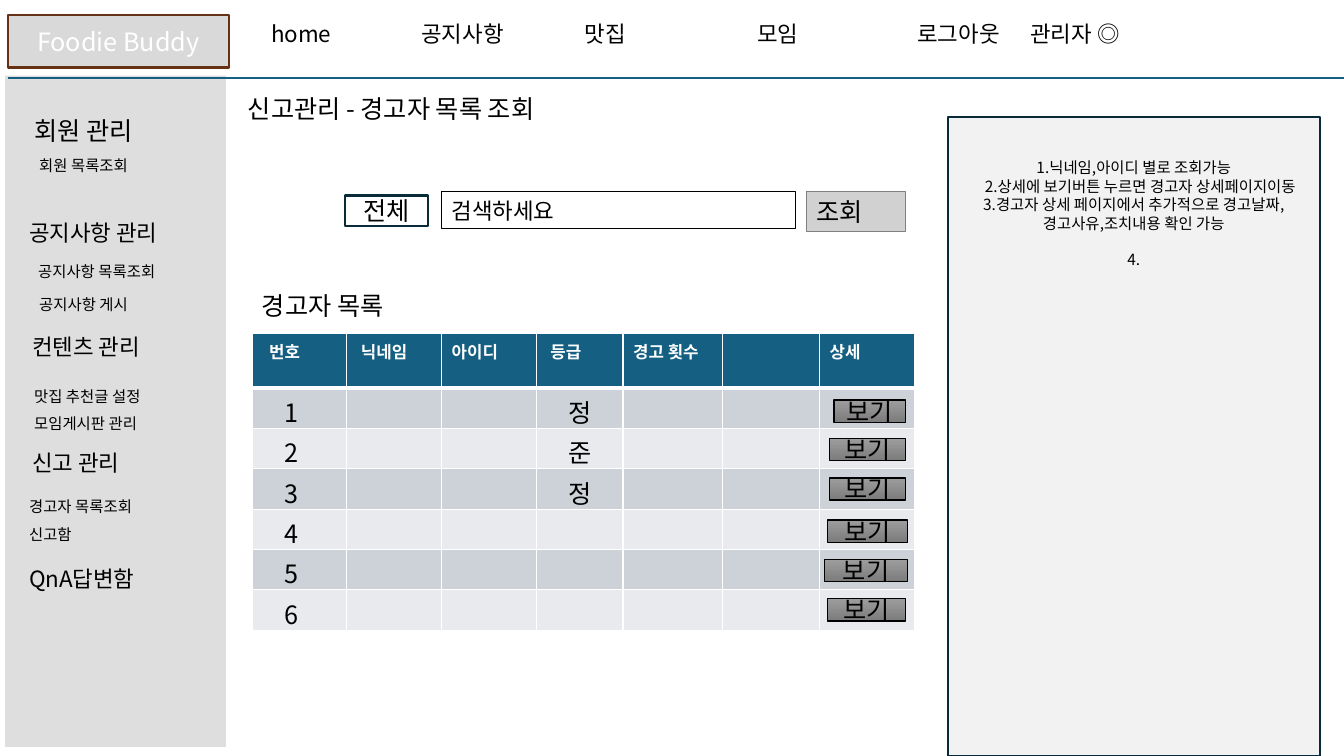
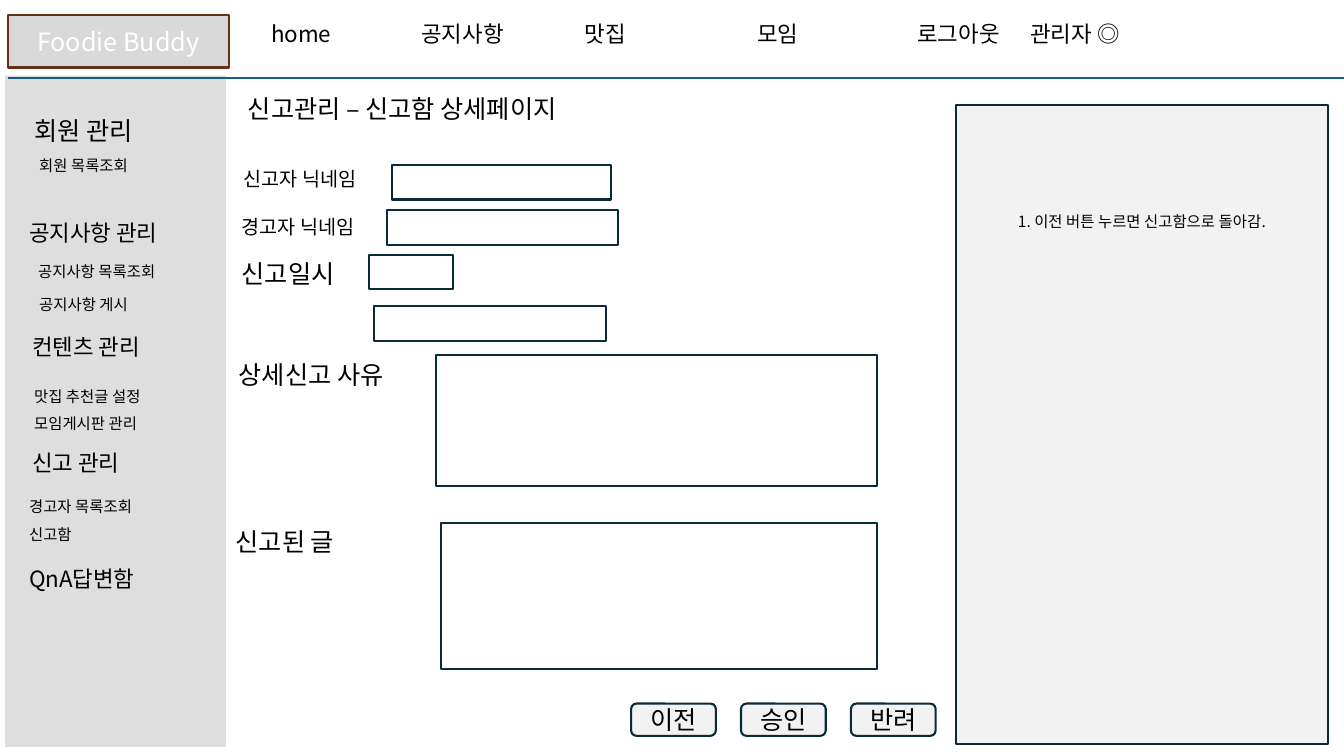
"""Build two admin wireframe slides: a warned-member list and a report detail page."""
import pptx
import pptx.dml.color
import pptx.enum.shapes
import pptx.enum.text
import pptx.oxml
import pptx.oxml.ns
import pptx.util
from lxml import etree

Inches = pptx.util.Inches
Pt = pptx.util.Pt
RGBColor = pptx.dml.color.RGBColor
SHAPE = pptx.enum.shapes.MSO_SHAPE
ALIGN = pptx.enum.text.PP_ALIGN
ANCHOR = pptx.enum.text.MSO_ANCHOR
qn = pptx.oxml.ns.qn

FONT = "Noto Sans CJK KR"
BLACK = RGBColor(0x00, 0x00, 0x00)
WHITE = RGBColor(0xFF, 0xFF, 0xFF)
BLUE = RGBColor(0x15, 0x60, 0x82)
NAVY = RGBColor(0x09, 0x2A, 0x39)
BROWN = RGBColor(0x66, 0x32, 0x16)
LOGO_GRAY = RGBColor(0xD9, 0xD9, 0xD9)
SIDEBAR_GRAY = RGBColor(0xBF, 0xBF, 0xBF)
PANEL_GRAY = RGBColor(0xF2, 0xF2, 0xF2)
SEARCH_GRAY = RGBColor(0xD1, 0xD1, 0xD1)
EDGE_GRAY = RGBColor(0x80, 0x80, 0x80)
BUTTON_LIGHT = RGBColor(0x9D, 0x9D, 0x9D)
BUTTON_DARK = RGBColor(0x7C, 0x7C, 0x7C)
BANDS = (RGBColor(0xCC, 0xD2, 0xD8), RGBColor(0xE8, 0xEA, 0xED))

LOGO = "Foodie Buddy"
NAVIGATION = ["home", "공지사항", "맛집", "모임", "로그아웃", "관리자 ◎"]
NAVIGATION_STOPS = [1.49, 3.11, 4.82, 6.41, 7.53]
SIDEBAR = [
    (0.24, 1.09, 18, "회원 관리"),
    (0.29, 1.50, 11, "회원 목록조회"),
    (0.19, 2.12, 16, "공지사항 관리"),
    (0.28, 2.55, 11, "공지사항 목록조회"),
    (0.29, 2.88, 11, "공지사항 게시"),
    (0.22, 3.26, 16, "컨텐츠 관리"),
    (0.24, 3.79, 11, "맛집 추천글 설정"),
    (0.24, 4.06, 11, "모임게시판 관리"),
    (0.22, 4.41, 16, "신고 관리"),
    (0.19, 4.88, 11, "경고자 목록조회"),
    (0.19, 5.16, 11, "신고함"),
    (0.19, 5.56, 16, "QnA답변함"),
]

LIST_TITLE = "신고관리 - 경고자 목록 조회"
LIST_NOTES = [
    "1.닉네임,아이디 별로 조회가능",
    "2.상세에 보기버튼 누르면 경고자 상세페이지이동",
    "3.경고자 상세 페이지에서 추가적으로 경고날짜,경고사유,조치내용 확인 가능",
    "4.",
]
HEADERS = ["번호", "닉네임", "아이디", "등급", "경고 횟수", "", "상세"]
HEADER_INSETS = [0.17, 0.14, 0.1, 0.14, 0.1, 0.1, 0.1]
COLUMN_WIDTHS = [0.94, 0.94, 0.94, 0.86, 0.99, 0.96, 0.94]
GRADES = ["정", "준", "정", "", "", ""]
VIEW_BUTTONS = [
    (8.27, 3.97, 0.71), (8.23, 4.35, 0.75), (8.23, 4.74, 0.75),
    (8.21, 5.16, 0.79), (8.18, 5.55, 0.82), (8.21, 5.94, 0.77),
]

DETAIL_TITLE = "신고관리 – 신고함 상세페이지"
DETAIL_NOTES = ["1. 이전 버튼 누르면 신고함으로 돌아감."]
FIELD_LABELS = [
    (2.32, 1.61, 14, "신고자 닉네임"),
    (2.30, 2.08, 14, "경고자 닉네임"),
    (2.30, 2.51, 18, "신고일시"),
    (2.27, 3.52, 18, "상세신고 사유"),
    (2.24, 5.17, 18, "신고된 글"),
]
FIELDS = [
    (3.89, 1.64, 2.17, 0.34), (3.84, 2.08, 2.29, 0.35), (3.66, 2.53, 0.83, 0.34),
    (3.71, 3.04, 2.30, 0.34), (4.32, 3.52, 4.38, 1.30), (4.37, 5.19, 4.33, 1.45),
]
ACTIONS = ["이전", "승인", "반려"]


def write(frame, text, size=18, color=BLACK, bold=False, align=ALIGN.LEFT):
    """Fill a text frame, one paragraph per line of text."""
    frame.word_wrap = True
    for index, line in enumerate(text.split("\n")):
        paragraph = frame.paragraphs[0] if index == 0 else frame.add_paragraph()
        paragraph.alignment = align
        run = paragraph.add_run()
        run.text = line
        run.font.name = FONT
        run.font.size = Pt(size)
        run.font.bold = bold
        run.font.color.rgb = color
        east_asian = etree.SubElement(run._r.get_or_add_rPr(), qn("a:ea"))
        east_asian.set("typeface", FONT)


def add_label(slide, left, top, width, text, size=18):
    """Add a plain text box and return its frame."""
    box = slide.shapes.add_textbox(
        Inches(left), Inches(top), Inches(width), Inches(round(0.1 + size / 60, 2)))
    write(box.text_frame, text, size=size)
    return box.text_frame


def add_box(slide, place, fill=WHITE, line=NAVY, weight=1.5, text="", kind=SHAPE.RECTANGLE,
            anchor=ANCHOR.MIDDLE, **text_format):
    """Add a filled, outlined shape, with text if there is any."""
    box = slide.shapes.add_shape(kind, *map(Inches, place))
    box.shadow.inherit = False
    box.fill.solid()
    box.fill.fore_color.rgb = fill
    if line is None:
        box.line.fill.background()
    else:
        box.line.color.rgb = line
        box.line.width = Pt(weight)
    box.text_frame.vertical_anchor = anchor
    if text:
        write(box.text_frame, text, **{"align": ALIGN.CENTER, **text_format})
    return box


def add_frame(presentation, title):
    """Add a slide with the shared navigation, sidebar and title."""
    slide = presentation.slides.add_slide(presentation.slide_layouts[6])
    navigation = add_label(slide, 2.19, 0.15, 10.97, "\t".join(NAVIGATION), size=16)
    navigation.margin_left = Inches(0.5)
    stops = etree.SubElement(navigation.paragraphs[0]._p.get_or_add_pPr(), qn("a:tabLst"))
    for position in NAVIGATION_STOPS:
        etree.SubElement(stops, qn("a:tab"), pos=str(Inches(position)), algn="l")

    add_box(slide, (0.08, 0.15, 2.19, 0.52), LOGO_GRAY, BROWN, text=LOGO, color=WHITE)
    sidebar = add_box(slide, (0.05, 0.75, 2.19, 6.66), SIDEBAR_GRAY, None)
    sidebar_color = sidebar._element.spPr.find(qn("a:solidFill"))[0]
    etree.SubElement(sidebar_color, qn("a:alpha"), val="50000")
    rule = slide.shapes.add_connector(
        pptx.enum.shapes.MSO_CONNECTOR.STRAIGHT,
        Inches(0.08), Inches(0.77), Inches(13.33), Inches(0.77))
    rule.line.color.rgb = BLUE
    rule.line.width = Pt(1.5)
    etree.SubElement(rule._element.spPr, qn("a:effectLst"))

    for left, top, size, text in SIDEBAR:
        add_label(slide, left, top, 1.95, text, size)
    add_label(slide, 2.36, 0.88, 3.4, title)
    return slide


def add_notes_panel(slide, left, top, notes, inset):
    """Add the gray panel of remarks and return its paragraphs."""
    panel = add_box(slide, (left, top, 3.69, 6.34), PANEL_GRAY, text="\n".join(notes),
                    anchor=ANCHOR.TOP, size=11)
    panel.text_frame.margin_top = Inches(inset)
    return panel.text_frame.paragraphs


def set_borders(cell, top=1, bottom=1):
    """Draw white borders around a table cell."""
    properties = cell._tc.get_or_add_tcPr()
    sides = (("L", 1), ("R", 1), ("T", top), ("B", bottom))
    for index, (side, weight) in enumerate(sides):
        border = etree.Element(qn(f"a:ln{side}"), w=str(Pt(weight)))
        fill = etree.SubElement(border, qn("a:solidFill"))
        etree.SubElement(fill, qn("a:srgbClr"), val=str(WHITE))
        properties.insert(index, border)


def add_member_table(slide):
    """Add the table of warned members."""
    rows = [HEADERS] + [[str(number), "", "", grade, "", "", ""]
                        for number, grade in enumerate(GRADES, 1)]
    heights = [0.54] + [0.4] * len(GRADES)
    table = slide.shapes.add_table(
        len(rows), len(HEADERS), Inches(2.5), Inches(3.31),
        Inches(sum(COLUMN_WIDTHS)), Inches(sum(heights))).table
    for column, width in zip(table.columns, COLUMN_WIDTHS):
        column.width = Inches(width)
    for r, (values, height) in enumerate(zip(rows, heights)):
        table.rows[r].height = Inches(height)
        for c, value in enumerate(values):
            cell = table.cell(r, c)
            cell.fill.solid()
            cell.fill.fore_color.rgb = BANDS[(r - 1) % 2] if r else BLUE
            cell.margin_left = Inches(0.32 if r else HEADER_INSETS[c])
            set_borders(cell, top=3 if r == 1 else 1, bottom=1 if r else 3)
            if value:
                write(cell.text_frame, value, size=18 if r else 12,
                      color=BLACK if r else WHITE, bold=r == 0)


def build_list_slide(presentation):
    """Build the searchable list of warned members."""
    slide = add_frame(presentation, LIST_TITLE)
    add_box(slide, (3.42, 1.94, 0.83, 0.3), text="전체")
    add_box(slide, (4.38, 1.9, 3.51, 0.37), line=BLACK, weight=0.75, text="검색하세요",
            size=16, align=ALIGN.LEFT)
    add_box(slide, (8, 1.9, 0.98, 0.4), SEARCH_GRAY, EDGE_GRAY, 0.75, "조회",
            align=ALIGN.LEFT)
    add_label(slide, 2.5, 2.83, 3.25, "경고자 목록")
    add_member_table(slide)
    for left, top, width in VIEW_BUTTONS:
        button = add_box(slide, (left, top, width, 0.22), line=BLACK, weight=1, text="보기")
        button.fill.gradient()
        button.fill.gradient_angle = 270
        for stop, color in zip(button.fill.gradient_stops, (BUTTON_LIGHT, BUTTON_DARK)):
            stop.color.rgb = color
    notes = add_notes_panel(slide, 9.4, 1.16, LIST_NOTES, 0.41)
    notes[1]._p.get_or_add_pPr().set("marL", str(Inches(0.13)))
    notes[-1].space_before = Pt(13)


def build_detail_slide(presentation):
    """Build the detail page of one report."""
    slide = add_frame(presentation, DETAIL_TITLE)
    add_notes_panel(slide, 9.48, 1.04, DETAIL_NOTES, 1.06)
    for left, top, size, text in FIELD_LABELS:
        add_label(slide, left, top, 1.9, text, size)
    for place in FIELDS:
        add_box(slide, place)
    for index, action in enumerate(ACTIONS):
        add_box(slide, (6.26 + 1.09 * index, 6.98, 0.84, 0.32), PANEL_GRAY, text=action,
                kind=SHAPE.ROUNDED_RECTANGLE)


def main():
    """Build and save the presentation."""
    presentation = pptx.Presentation()
    presentation.slide_width = Inches(13.33)
    presentation.slide_height = Inches(7.5)
    build_list_slide(presentation)
    build_detail_slide(presentation)
    presentation.save("out.pptx")


if __name__ == "__main__":
    main()
